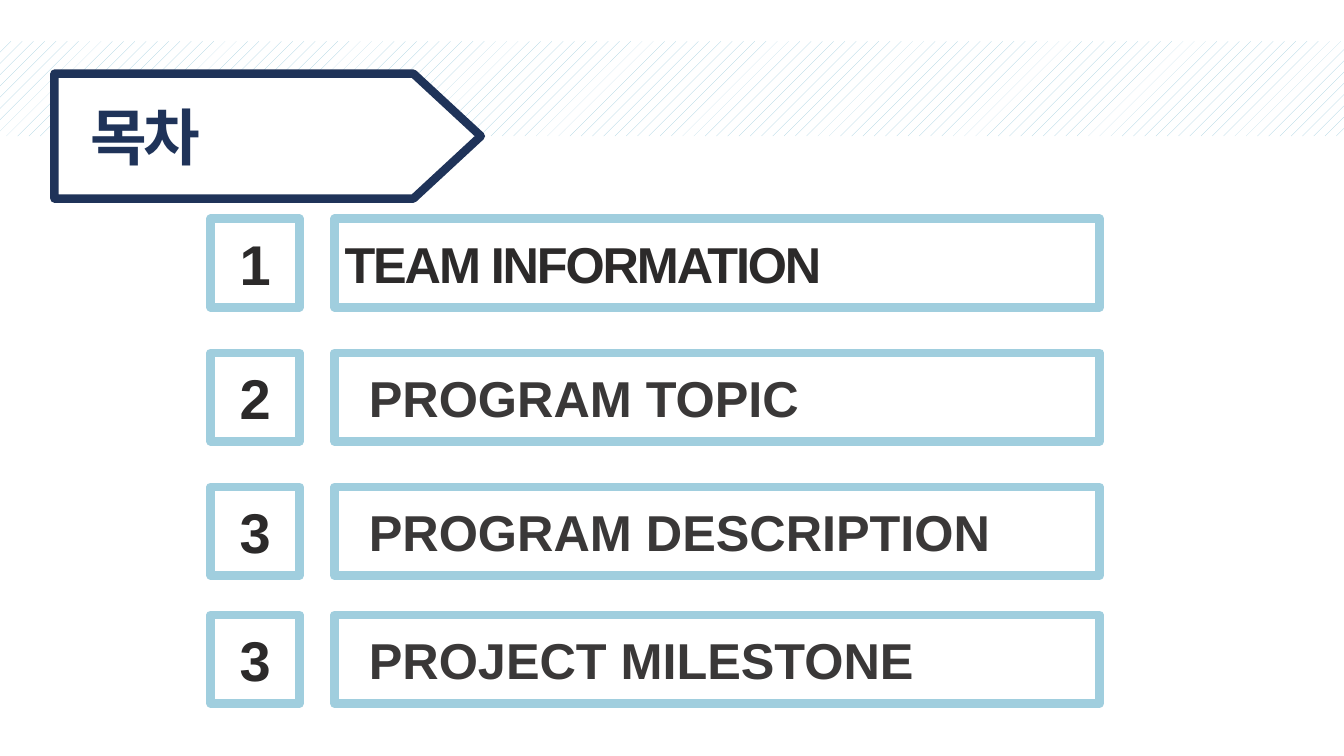
import pptx
import pptx.util
import pptx.dml.color
import pptx.enum.dml
import pptx.enum.shapes
import pptx.enum.text

Pt = pptx.util.Pt
SHAPE = pptx.enum.shapes.MSO_SHAPE
ALIGN = pptx.enum.text.PP_ALIGN

TITLE = "목차"
# number, topic, top, left inset, text colour, letter spacing
ROWS = [
    ("1", "TEAM INFORMATION", 156.2, 7.2, "ink", -1.5),
    ("2", "PROGRAM TOPIC", 252, 24.5, "gray", 0),
    ("3", "PROGRAM DESCRIPTION", 347.8, 24.5, "gray", 0),
    ("3", "PROJECT MILESTONE", 439.2, 24.5, "gray", 0),
]
COLORS = {"white": "FFFFFF", "navy": "1F3359", "sky": "A0CEDE",
          "ink": "2C2A2A", "gray": "3A3838"}
FONT = "Arial"
WIDE, HIGH = 960, 540
SIDE, BAR = 63.4, 546.5
NUM_X, BAR_X = 150.5, 239


def color(name):
    return pptx.dml.color.RGBColor.from_string(COLORS[name])


def add_box(shapes, kind, x, y, w, h, edge):
    box = shapes.add_shape(kind, Pt(x), Pt(y), Pt(w), Pt(h))
    box.shadow.inherit = False
    box.fill.solid()
    box.fill.fore_color.rgb = color("white")
    box.line.color.rgb = color(edge)
    box.line.width = Pt(6)
    return box


def write(shape, text, size, tint, align=ALIGN.LEFT, gap=0, inset=7.2):
    frame = shape.text_frame
    frame.word_wrap = False
    frame.auto_size = pptx.enum.text.MSO_AUTO_SIZE.NONE
    frame.vertical_anchor = pptx.enum.text.MSO_ANCHOR.MIDDLE
    frame.margin_left = Pt(inset)
    para = frame.paragraphs[0]
    para.alignment = align
    run = para.add_run()
    run.text = text
    font = para.font
    font.name, font.size, font.bold = FONT, Pt(size), True
    font.color.rgb = color(tint)
    if gap:
        run._r.get_or_add_rPr().set("spc", str(int(gap * 100)))


deck = pptx.Presentation()
deck.slide_width, deck.slide_height = Pt(WIDE), Pt(HIGH)
slide = deck.slides.add_slide(deck.slide_layouts[5])
shapes = slide.shapes

band = shapes.add_shape(SHAPE.RECTANGLE, 0, Pt(29.5), Pt(WIDE), Pt(67.7))
band.shadow.inherit = False
band.line.fill.background()
band.fill.patterned()
band.fill.pattern = pptx.enum.dml.MSO_PATTERN.PERCENT_10
band.fill.fore_color.rgb = color("sky")
band.fill.back_color.rgb = color("white")

sign = add_box(shapes, SHAPE.PENTAGON, 38.9, 52.6, 304.6, 89.3, "navy")
sign.adjustments[0] = 0.54

title = shapes.title
title.left, title.top = Pt(57.6), Pt(67)
title.width, title.height = Pt(97.2), Pt(60.5)
write(title, TITLE, 44, "navy", gap=-3)
shapes._spTree.append(title._element)  # bring in front of the sign

for num, topic, top, inset, tint, gap in ROWS:
    row = shapes.add_group_shape().shapes
    cell = add_box(row, SHAPE.RECTANGLE, NUM_X, top, SIDE, SIDE, "sky")
    write(cell, num, 40, "ink", ALIGN.CENTER)
    bar = add_box(row, SHAPE.RECTANGLE, BAR_X, top, BAR, SIDE, "sky")
    write(bar, topic, 36, tint, gap=gap, inset=inset)

deck.save("out.pptx")
